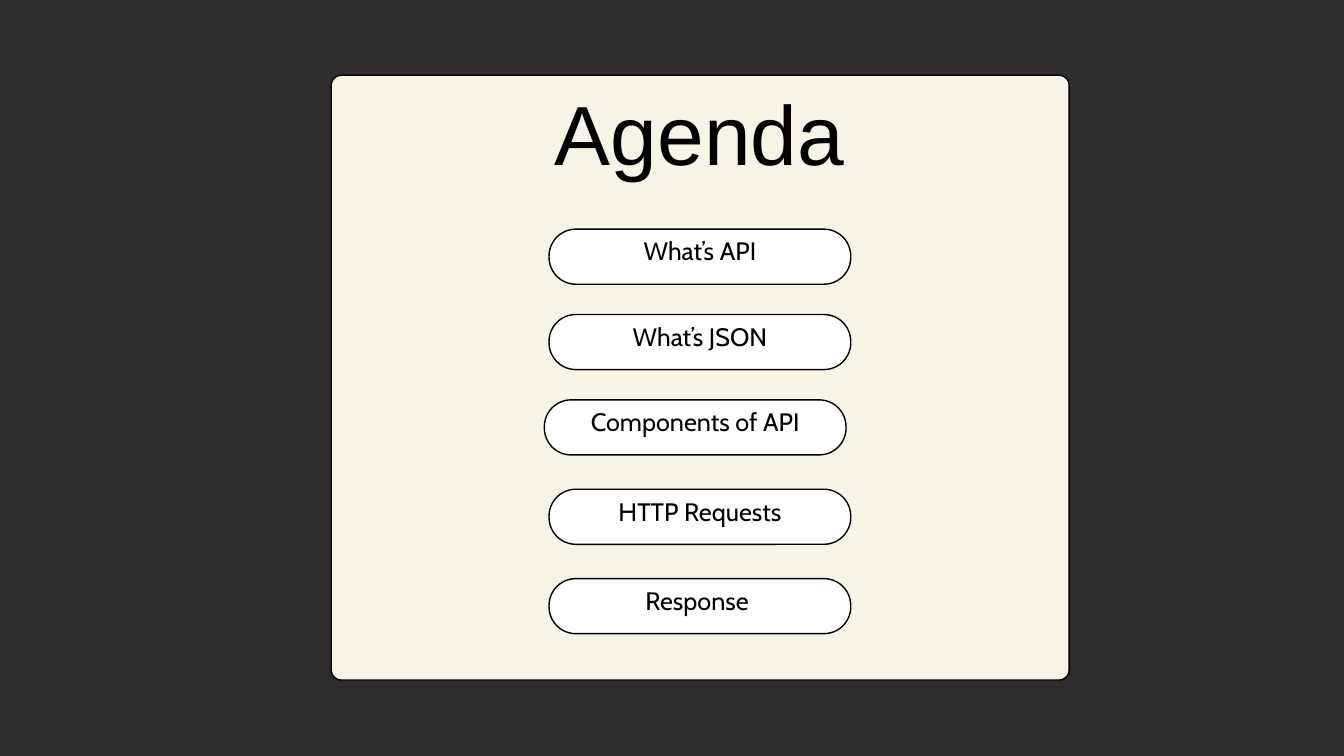
from pptx import Presentation, util as u
from pptx.dml import color
from pptx.enum import shapes, text

INK, PAPER, CARD, BACKDROP = "000000", "FFFFFF", "F6F4E7", "2E2C2C"
PILL_WIDTH, PILL_HEIGHT, LABEL_RISE = 4.49, 0.82, 0.21
TOPICS = [
    ("What’s API", 8.17, 3.41),
    ("What’s JSON", 8.17, 4.68),
    ("Components of API", 8.1, 5.95),
    ("HTTP Requests", 8.17, 7.28),
    ("Response ", 8.17, 8.61),
]
TITLE_STYLE = {"font": "Arial", "size": 89.9, "spacing": 89.9, "inset": 0,
               "anchor": text.MSO_ANCHOR.TOP}
TOPIC_STYLE = {"font": "Cabin", "size": 27, "spacing": 35.1, "inset": 0.06,
               "anchor": text.MSO_ANCHOR.MIDDLE}


def paint(fill, hex_color):
    fill.solid()
    fill.fore_color.rgb = color.RGBColor.from_string(hex_color)


def assign(target, values):
    for name, value in values.items():
        setattr(target, name, value)


class AgendaSlide:
    """Draws the elements of the agenda on one slide."""

    def __init__(self, slide, line_width=1.5):
        self.slide = slide
        self.line_width = u.Pt(line_width)

    def background(self, hex_color):
        paint(self.slide.background.fill, hex_color)

    def panel(self, left, top, width, height, radius, fill):
        shape = self.slide.shapes.add_shape(
            shapes.MSO_SHAPE.ROUNDED_RECTANGLE,
            *map(u.Inches, (left, top, width, height)))
        shape.adjustments[0] = radius / min(width, height)
        shape.shadow.inherit = False
        paint(shape.fill, fill)
        paint(shape.line.fill, INK)
        shape.line.width = self.line_width

    def label(self, words, left, top, width, height, style):
        box = self.slide.shapes.add_textbox(
            *map(u.Inches, (left, top, width, height)))
        frame = box.text_frame
        inset = u.Inches(style["inset"])
        assign(frame, {"word_wrap": True, "vertical_anchor": style["anchor"],
                       "margin_left": inset, "margin_right": inset,
                       "margin_top": inset, "margin_bottom": inset})
        paragraph = frame.paragraphs[0]
        assign(paragraph, {"text": words, "alignment": text.PP_ALIGN.CENTER,
                           "line_spacing": u.Pt(style["spacing"])})
        font = paragraph.runs[0].font
        assign(font, {"name": style["font"], "size": u.Pt(style["size"])})
        paint(font.fill, INK)

    def topic(self, words, left, top):
        self.panel(left, top, PILL_WIDTH, PILL_HEIGHT, 0.4, PAPER)
        self.label(words, left, top - LABEL_RISE, PILL_WIDTH,
                   PILL_HEIGHT + LABEL_RISE, TOPIC_STYLE)


def main():
    presentation = Presentation()
    assign(presentation, {"slide_width": u.Inches(20),
                          "slide_height": u.Inches(11.25)})
    agenda = AgendaSlide(
        presentation.slides.add_slide(presentation.slide_layouts[6]))
    agenda.background(BACKDROP)
    agenda.panel(4.93, 1.12, 10.98, 9, 0.15, CARD)
    agenda.label("Agenda", 6.81, 1.47, 7.2, 1.49, TITLE_STYLE)
    for words, left, top in TOPICS:
        agenda.topic(words, left, top)
    presentation.save("out.pptx")


if __name__ == "__main__":
    main()
